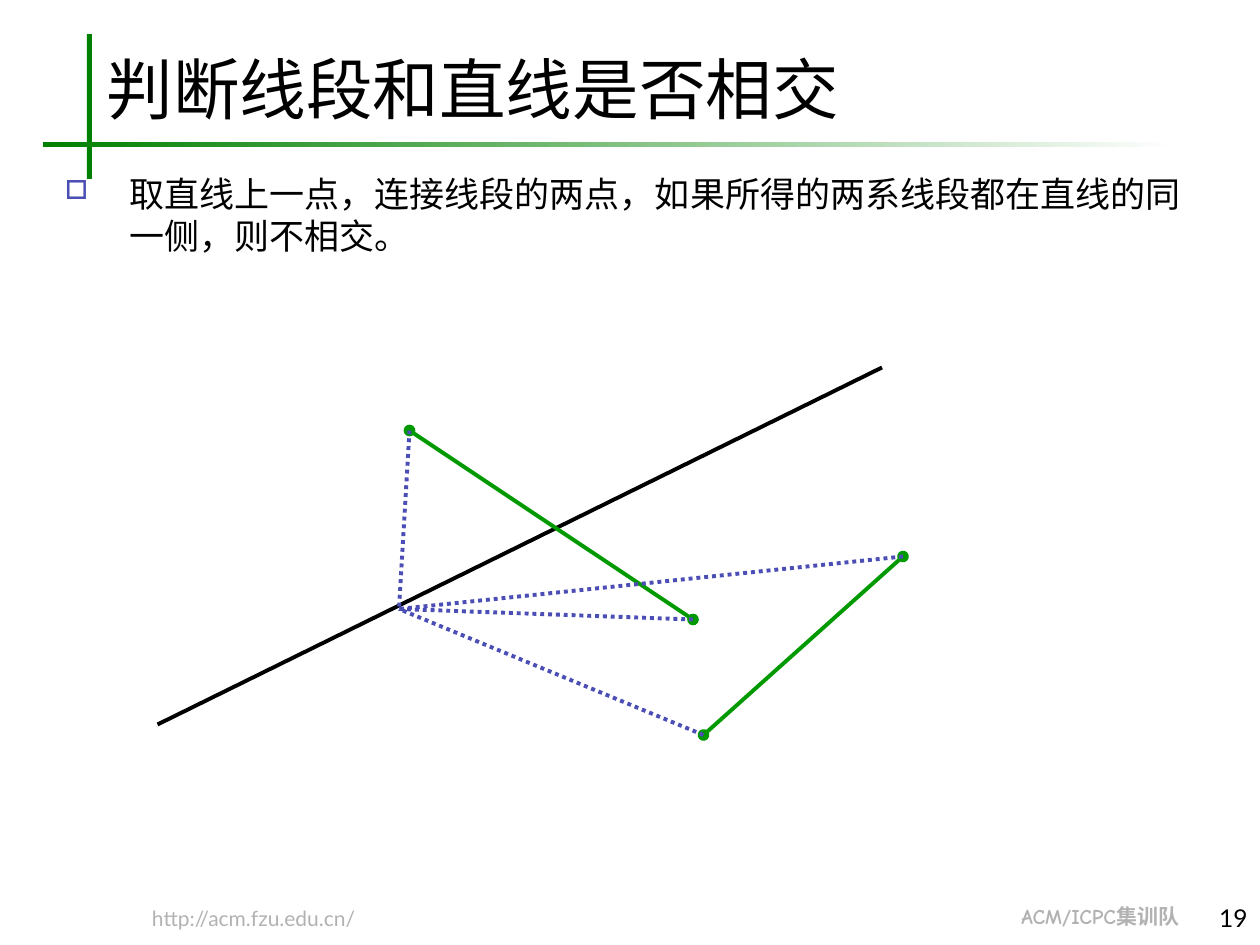
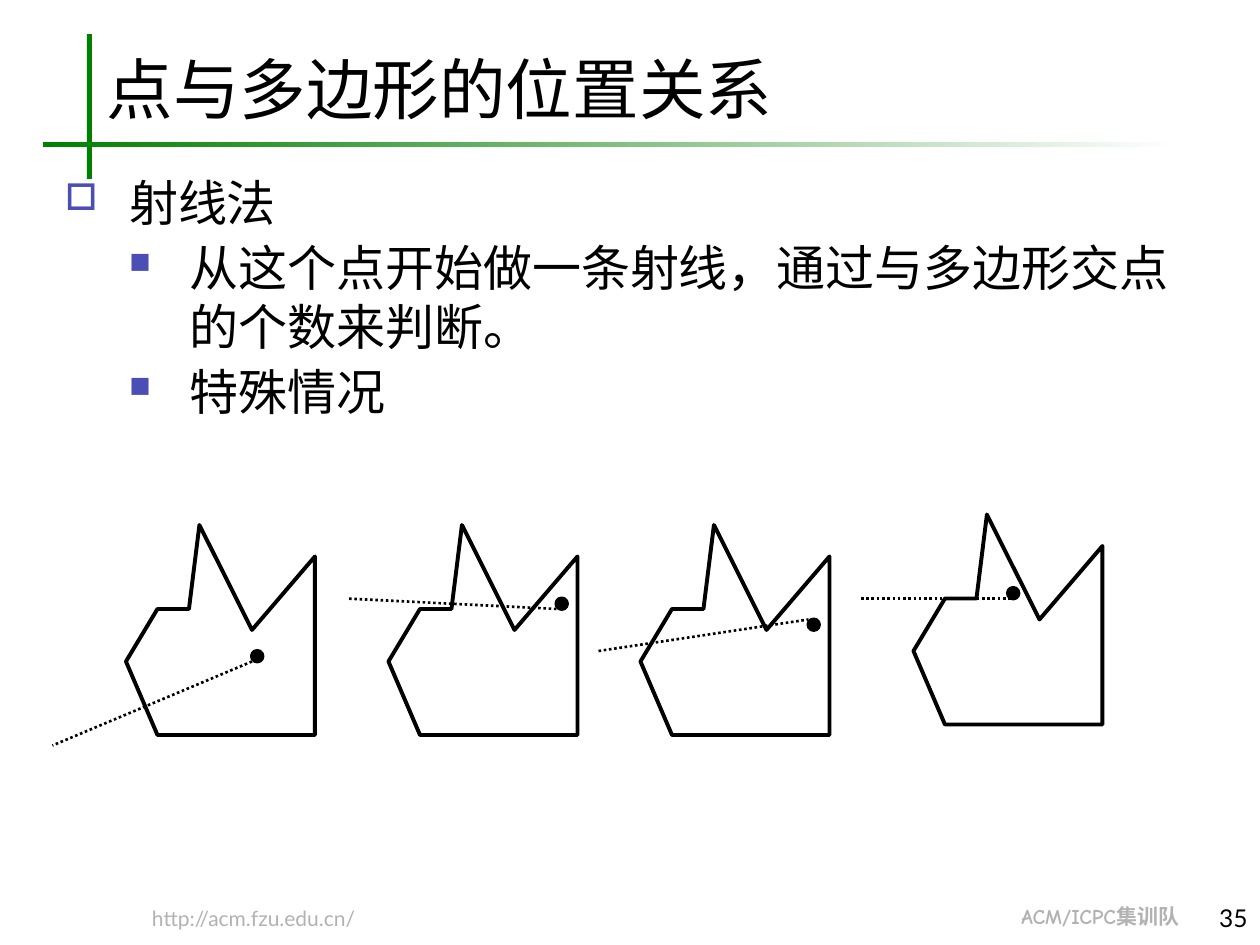
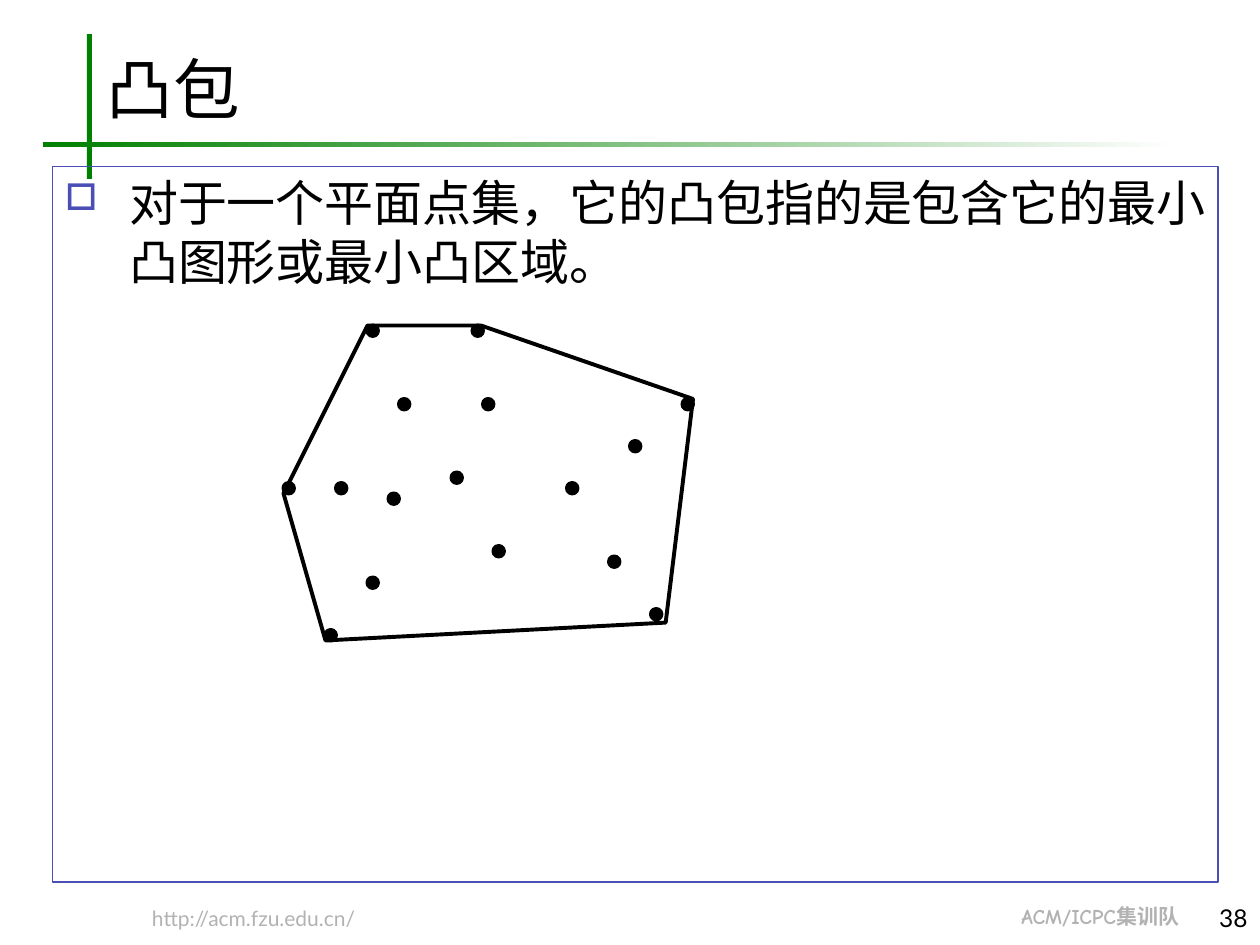
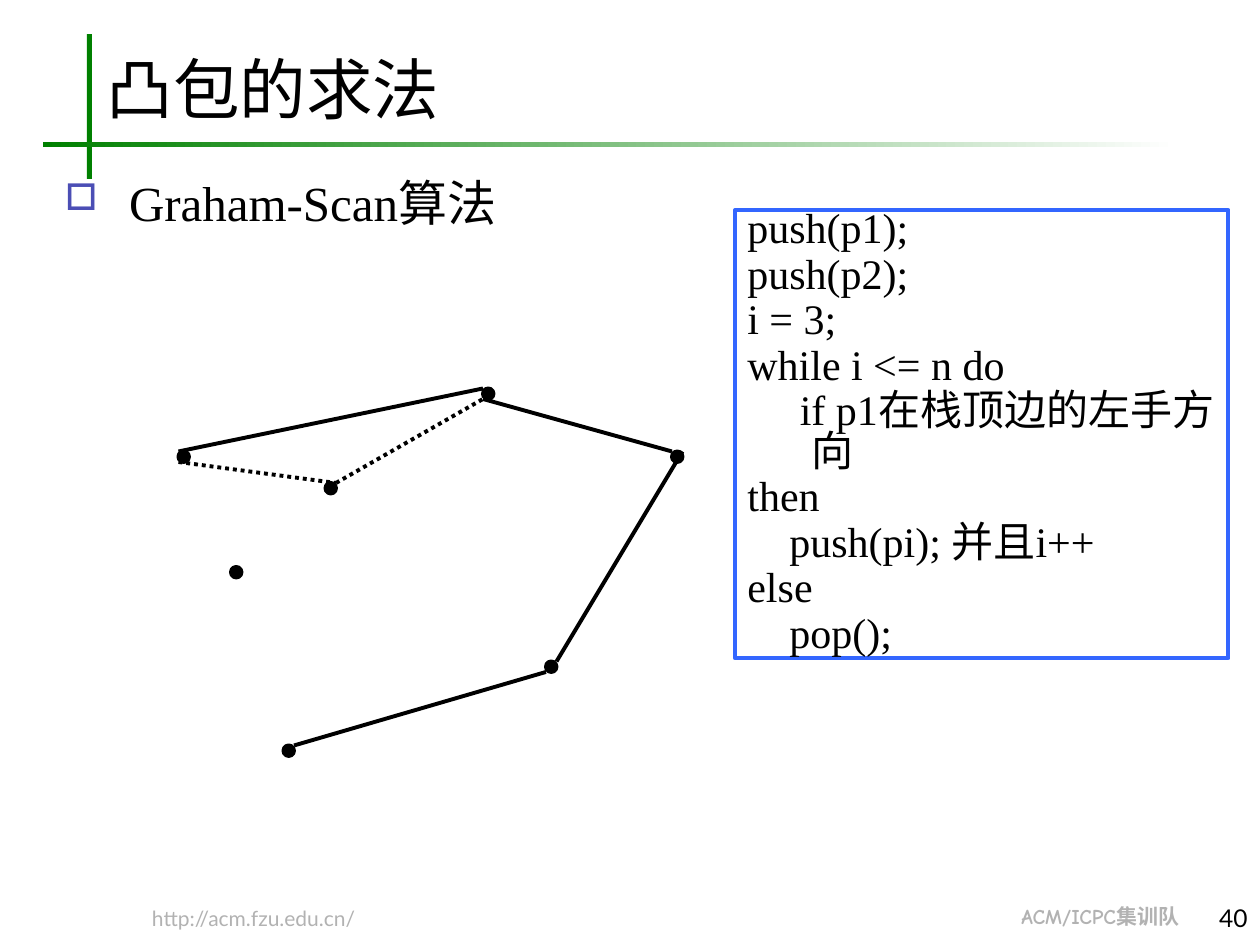
"""Build four geometry slides on a grid of 120 columns by 90 rows."""
from typing import NamedTuple

from lxml import etree
from pptx import Presentation
from pptx import util as u
from pptx.dml.color import RGBColor
from pptx.enum import dml, shapes, text
from pptx.oxml.ns import qn

BLACK = RGBColor(0x00, 0x00, 0x00)
WHITE = RGBColor(0xFF, 0xFF, 0xFF)
GRAY = RGBColor(0xB2, 0xB2, 0xB2)
DEEP = RGBColor(0x00, 0x80, 0x00)
GREEN = RGBColor(0x00, 0x99, 0x00)
VIOLET = RGBColor(0x4B, 0x4E, 0xB5)
BLUE = RGBColor(0x33, 0x66, 0xFF)
SERIF, SANS, COMIC = "Times New Roman", "Lato", "Comic Neue"
WIDTH, HEIGHT = u.Inches(10), u.Inches(7.5)
COLS = 120
CELL = WIDTH // COLS

Point = tuple[float, float]


class Box(NamedTuple):
    """A place on the grid."""
    col: float
    row: float
    wide: float
    high: float


class Style(NamedTuple):
    """The look of a paragraph."""
    size: float
    font: str = SERIF
    color: RGBColor = BLACK
    bold: bool = False
    left: float = 0
    hang: float = 0
    before: float = 0
    lines: float = 1
    mark: str = ""
    scale: int = 100


class Line(NamedTuple):
    """A straight line between two grid points."""
    start: Point
    end: Point
    color: RGBColor = BLACK
    width: float = 2.25
    dots: bool = False
    ends: bool = False


class Case(NamedTuple):
    """One polygon with a test point and its ray."""
    corner: Point
    dot: Point
    start: Point
    end: Point


TITLE = Style(38)
ITEM = Style(28, left=0.51, hang=-0.51, before=3.5, mark="□", scale=75)
SMALL = ITEM._replace(size=20)
SUB = ITEM._replace(left=0.99, hang=-0.48, mark="■", scale=60)
CODE = Style(24, left=0.51, hang=-0.51, before=3, lines=0.8)
SITE = Style(12, SANS, GRAY, lines=0.8)
TEAM = SITE._replace(font=COMIC, bold=True)
PAGE = Style(14, SANS)

HEAD = Box(9, 4, 107, 8.8)
BODY = Box(5, 15.84, 111, 68.16)
CODEBOX = Box(70, 20, 47, 42.7)

PIVOT = (38, 58)
PAIRS = [((39, 41), (66, 59)), ((86, 53), (67, 70))]
CROWN = [(7, 0), (6, 8), (3, 8), (0, 13), (3, 20), (18, 20), (18, 3), (12, 10)]
CASES = [
    Case((12, 50), (24, 62), (24, 63), (5, 71)),
    Case((37, 50), (53, 57), (53, 58), (33, 57)),
    Case((61, 50), (77, 59), (57, 62), (77, 59)),
    Case((87, 49), (96, 56), (82, 57), (97, 57)),
]
HULL = [(27, 47), (31, 61), (63.4, 59.3), (66, 38), (45.8, 31), (35, 31)]
CLOUD = [(32, 46), (38, 38), (37, 47), (35, 55), (58, 53), (46, 38), (47, 52),
         (43, 45), (60, 42), (27, 46), (62, 58), (54, 46), (65, 38), (31, 60),
         (35, 31), (45, 31)]
SCAN = [(52, 63), (64, 43), (27, 71), (17, 43), (31, 46), (46, 37), (22, 54)]
STEPS = [
    Line((28, 71), (52, 64)),
    Line((65, 43), (53, 63)),
    Line((46, 38), (64, 43)),
    Line((17, 43), (46, 37)),
    Line((32, 46), (46, 38), dots=True),
    Line((17, 44), (32, 46), dots=True),
]
LISTING = """push(p1);
push(p2);
i = 3;
while i <= n do
     if p1在栈顶边的左手方向
then
    push(pi); 并且i++
else
    pop();"""


def cell(num: float) -> int:
    """Turn grid cells into a length."""
    return round(num * CELL)


def frame(box: Box) -> list[int]:
    """Turn a box into left, top, width and height."""
    return [cell(num) for num in box]


def add_mark(para, style: Style) -> None:
    """Give a paragraph its indents and bullet."""
    props = para._p.get_or_add_pPr()
    props.set("marL", str(u.Inches(style.left)))
    props.set("indent", str(u.Inches(style.hang)))
    if style.mark:
        tint = etree.SubElement(props, qn("a:buClr"))
        etree.SubElement(tint, qn("a:srgbClr"), val=str(VIOLET))
        etree.SubElement(props, qn("a:buSzPct"), val=str(style.scale * 1000))
        etree.SubElement(props, qn("a:buChar"), char=style.mark)


def add_text(slide, box: Box, rows: list[tuple[str, Style]], pad: float = 0.05,
             low: bool = False, right: bool = False, edge: Line | None = None) -> None:
    """Write styled paragraphs into a box."""
    shape = slide.shapes.add_textbox(*frame(box))
    if edge:
        shape.line.color.rgb = edge.color
        shape.line.width = u.Pt(edge.width)
    area = shape.text_frame
    area.word_wrap = True
    area.margin_left = area.margin_right = u.Inches(0.1)
    area.margin_top = area.margin_bottom = u.Inches(pad)
    area.vertical_anchor = text.MSO_ANCHOR.BOTTOM if low else text.MSO_ANCHOR.TOP
    for num, (words, style) in enumerate(rows):
        para = area.add_paragraph() if num else area.paragraphs[0]
        para.text = words
        add_mark(para, style)
        para.alignment = text.PP_ALIGN.RIGHT if right else text.PP_ALIGN.LEFT
        para.line_spacing = style.lines
        if num:
            para.space_before = u.Pt(style.before)
        font = para.font
        font.size, font.name, font.bold = u.Pt(style.size), style.font, style.bold
        font.color.rgb = style.color


def add_line(slide, line: Line) -> None:
    """Draw a straight line."""
    spots = [cell(num) for num in line.start + line.end]
    link = slide.shapes.add_connector(shapes.MSO_CONNECTOR.STRAIGHT, *spots)
    link.line.color.rgb = line.color
    link.line.width = u.Pt(line.width)
    if line.dots:
        link.line.dash_style = dml.MSO_LINE.ROUND_DOT
    if line.ends:
        for tag in ("a:headEnd", "a:tailEnd"):
            etree.SubElement(link.line._get_or_add_ln(), qn(tag), type="oval")
    etree.SubElement(link._element.spPr, qn("a:effectLst"))


def add_dot(slide, spot: Point) -> None:
    """Draw a black point one cell wide."""
    dot = slide.shapes.add_shape(shapes.MSO_SHAPE.OVAL, *frame(Box(*spot, 1, 1)))
    dot.shadow.inherit = False
    dot.fill.solid()
    dot.fill.fore_color.rgb = dot.line.color.rgb = BLACK
    dot.line.width = u.Pt(2.25)


def add_loop(slide, spots: list[Point]) -> None:
    """Draw a closed outline."""
    first, *rest = [(cell(x), cell(y)) for x, y in spots]
    pen = slide.shapes.build_freeform(*first, scale=1.0)
    pen.add_line_segments(rest, close=True)
    loop = pen.convert_to_shape()
    loop.shadow.inherit = False
    loop.fill.background()
    loop.line.color.rgb = BLACK
    loop.line.width = u.Pt(2.25)


def add_bar(slide, box: Box, fade: bool) -> None:
    """Draw a green bar, plain or fading to white."""
    bar = slide.shapes.add_shape(shapes.MSO_SHAPE.RECTANGLE, *frame(box))
    bar.shadow.inherit = False
    bar.line.fill.background()
    if fade:
        bar.fill.gradient()
        bar.fill.gradient_angle = 180
        for stop, color in zip(bar.fill.gradient_stops, (WHITE, DEEP)):
            stop.color.rgb = color
    else:
        bar.fill.solid()
        bar.fill.fore_color.rgb = DEEP


def add_slide(deck, title: str, page: int, rows: list[tuple[str, Style]],
              edge: Line | None = None):
    """Start a slide with the shared parts and its body text."""
    slide = deck.slides.add_slide(deck.slide_layouts[6])
    add_bar(slide, Box(8.28, 3.24, 0.48, 13.8), False)
    add_bar(slide, Box(4.08, 13.56, 108, 0.48), True)
    add_text(slide, Box(13.3, 86.6, 31, 2.2), [("http://acm.fzu.edu.cn/", SITE)], 0.01)
    add_text(slide, Box(96.1, 86.4, 20, 2.2), [("ACM/ICPC集训队", TEAM)], 0.01)
    add_text(slide, HEAD, [(title, TITLE)], low=True)
    add_text(slide, BODY, rows, edge=edge)
    add_text(slide, Box(112, 85.4, 8, 4), [(str(page), PAGE)], low=True, right=True)
    return slide


def draw_cross(deck) -> None:
    """Show a line against two segments."""
    slide = add_slide(deck, "判断线段和直线是否相交", 19, [
        ("取直线上一点，连接线段的两点，如果所得的两系线段都在直线的同一侧，则不相交。", SMALL)])
    add_line(slide, Line((15, 69), (84, 35)))
    for pair in PAIRS:
        add_line(slide, Line(*pair, GREEN, ends=True))
        for spot in pair:
            add_line(slide, Line(spot, PIVOT, VIOLET, dots=True))


def draw_rays(deck) -> None:
    """Show the ray method on four cases."""
    slide = add_slide(deck, "点与多边形的位置关系", 35, [
        ("射线法", ITEM),
        ("从这个点开始做一条射线，通过与多边形交点的个数来判断。", SUB),
        ("特殊情况", SUB)])
    for case in CASES:
        left, top = case.corner
        add_loop(slide, [(left + x, top + y) for x, y in CROWN])
        add_dot(slide, case.dot)
        add_line(slide, Line(case.start, case.end, width=1.5, dots=True))


def draw_hull(deck) -> None:
    """Show a set of points and its hull."""
    slide = add_slide(deck, "凸包", 38, [
        ("对于一个平面点集，它的凸包指的是包含它的最小凸图形或最小凸区域。", ITEM)],
        Line((0, 0), (0, 0), VIOLET, 0.75))
    add_loop(slide, HULL)
    for spot in CLOUD:
        add_dot(slide, spot)


def draw_scan(deck) -> None:
    """Show the scan steps beside their code."""
    slide = add_slide(deck, "凸包的求法", 40, [("Graham-Scan算法", ITEM)])
    for spot in SCAN:
        add_dot(slide, spot)
    for step in STEPS:
        add_line(slide, step)
    add_text(slide, CODEBOX, [(row, CODE) for row in LISTING.splitlines()], 0.01,
             edge=Line((0, 0), (0, 0), BLUE))


def main() -> None:
    """Build and save the deck."""
    deck = Presentation()
    deck.slide_width, deck.slide_height = WIDTH, HEIGHT
    for draw in (draw_cross, draw_rays, draw_hull, draw_scan):
        draw(deck)
    deck.save("out.pptx")


if __name__ == "__main__":
    main()
